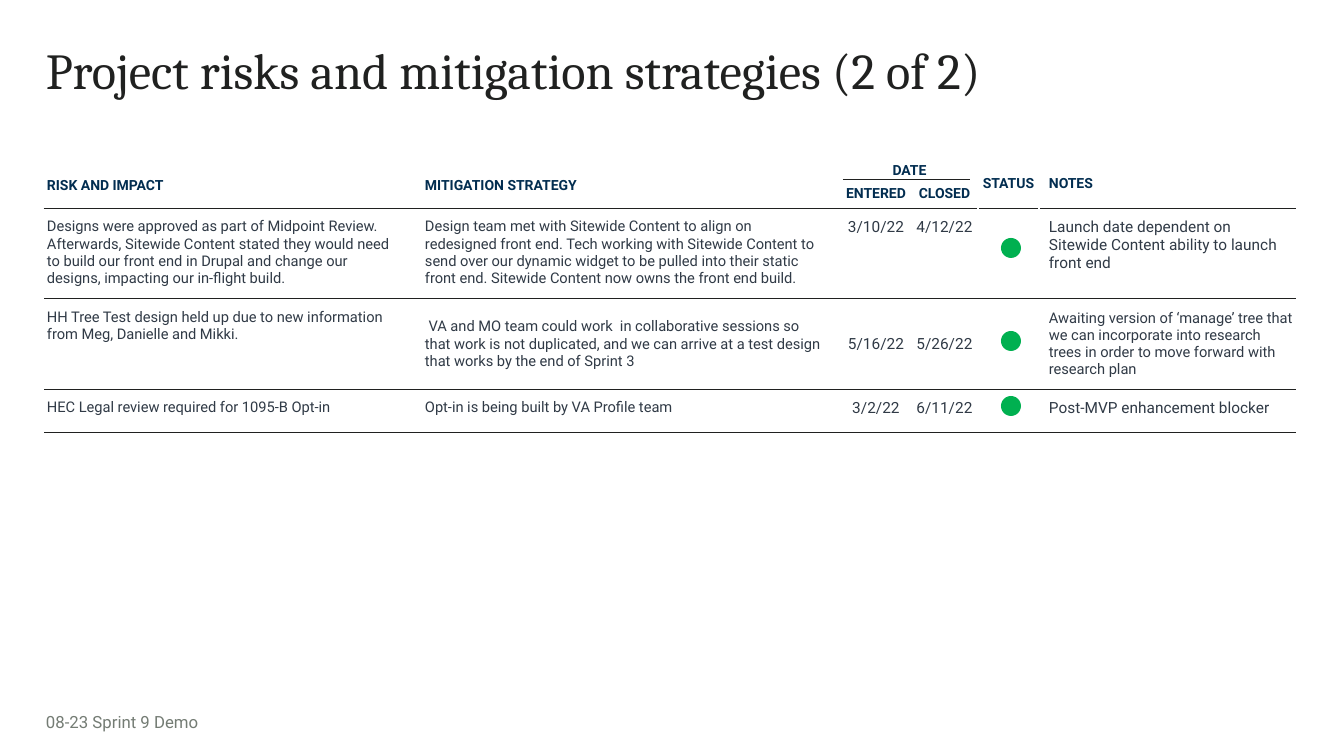
import pptx
import pptx.dml.color
import pptx.enum.shapes
import pptx.enum.text
import pptx.oxml
import pptx.oxml.ns
import pptx.util

PX = 914400 / 100.8
COLORS = {
    "ink": "202120", "navy": "022D50", "slate": "303A46",
    "gray": "747C74", "green": "00B050", "white": "FFFFFF",
}
LEFT = pptx.enum.text.PP_ALIGN.LEFT
CENTER = pptx.enum.text.PP_ALIGN.CENTER
TOP = pptx.enum.text.MSO_ANCHOR.TOP
MIDDLE = pptx.enum.text.MSO_ANCHOR.MIDDLE


def px(count):
    return pptx.util.Emu(round(count * PX))


def write(frame, text, font, size, color, bold=False, align=LEFT, spacing=None):
    frame.word_wrap = True
    para = frame.paragraphs[0]
    para.alignment = align
    para.line_spacing = spacing
    span = para.add_run()
    span.text = text
    span.font.name = font
    span.font.size = pptx.util.Pt(size)
    span.font.bold = bold
    span.font.color.rgb = pptx.dml.color.RGBColor.from_string(COLORS[color])


deck = pptx.Presentation()
deck.slide_width, deck.slide_height = px(1344), px(756)
page = deck.slides.add_slide(deck.slide_layouts[6])

title = page.shapes.add_textbox(px(36), px(41), px(1252), px(83))
write(title.text_frame, "Project risks and mitigation strategies (2 of 2)",
      "Cambria", 36, "ink", spacing=0.9)

column_widths = [378, 419, 70, 67, 61, 257]
row_heights = [23, 23, 89, 89, 43]
table = page.shapes.add_table(
    len(row_heights), len(column_widths), px(44), px(160),
    px(sum(column_widths)), px(sum(row_heights))).table
table.first_row = table.horz_banding = False
table._tbl.tblPr[0].text = "{2D5ABB26-0587-4C30-8999-92F81FD0307C}"
for column, width in zip(table.columns, column_widths):
    column.width = px(width)
for row, height in zip(table.rows, row_heights):
    row.height = px(height)

for index in (0, 1, 4, 5):
    table.cell(0, index).merge(table.cell(1, index))
table.cell(0, 2).merge(table.cell(0, 3))

headings = [
    (0, 0, "RISK AND IMPACT", LEFT, MIDDLE, 1.15),
    (0, 1, "MITIGATION STRATEGY", LEFT, MIDDLE, 1.15),
    (0, 2, "DATE", CENTER, TOP, None),
    (1, 2, "ENTERED", CENTER, TOP, None),
    (1, 3, "CLOSED", CENTER, TOP, None),
    (0, 4, "STATUS", CENTER, MIDDLE, None),
    (0, 5, "NOTES", LEFT, MIDDLE, None),
]
for row, column, text, align, anchor, spacing in headings:
    cell = table.cell(row, column)
    cell.vertical_anchor = anchor
    cell.margin_left = px(10 if column == 5 else 3)
    cell.margin_right = px(10 if column == 0 else 3)
    cell.margin_top = cell.margin_bottom = px(3)
    write(cell.text_frame, text, "Roboto", 10, "navy", True, align, spacing)

risks = [
    [("Designs were approved as part of Midpoint Review. Afterwards, Sitewide Content "
      "stated they would need to build our front end in Drupal and change our designs, "
      "impacting our in-flight build.", 10.5, TOP),
     ("Design team met with Sitewide Content to align on redesigned front end. Tech "
      "working with Sitewide Content to send over our dynamic widget to be pulled into "
      "their static front end. Sitewide Content now owns the front end build.", 10.5, TOP),
     ("3/10/22", 11, TOP), ("4/12/22", 11, TOP), None,
     ("Launch date dependent on Sitewide Content ability to launch front end", 11, TOP)],
    [("HH Tree Test design held up due to new information from Meg, Danielle and Mikki.",
      10.5, TOP),
     (" VA and MO team could work  in collaborative sessions so that work is not "
      "duplicated, and we can arrive at a test design that works by the end of Sprint 3",
      10.5, MIDDLE),
     ("5/16/22", 11, MIDDLE), ("5/26/22", 11, MIDDLE), None,
     ("Awaiting version of ‘manage’ tree that we can incorporate into research trees in "
      "order to move forward with research plan", 10.5, MIDDLE)],
    [("HEC Legal review required for 1095-B Opt-in", 10.5, TOP),
     ("Opt-in is being built by VA Profile team", 10.5, TOP),
     ("3/2/22", 11, TOP), ("6/11/22", 11, TOP), None,
     ("Post-MVP enhancement blocker", 11, TOP)],
]
for row, risk in enumerate(risks, start=2):
    for column, entry in enumerate(risk):
        if entry is None:
            continue
        text, size, anchor = entry
        cell = table.cell(row, column)
        cell.vertical_anchor = anchor
        cell.margin_left = px(10 if column == 5 else 3)
        cell.margin_right = px(20 if column < 2 else 3)
        cell.margin_top = cell.margin_bottom = px(10)
        write(cell.text_frame, text, "Roboto", size, "slate",
              align=CENTER if column in (2, 3) else LEFT)

for row in range(len(row_heights)):
    for column in range(len(column_widths)):
        cell = table.cell(row, column)
        cell.fill.background()
        borders = {}
        if row < 2 or column > 3:
            borders["lnL"] = "white"
        if column < 5 and (row < 2 or column > 2):
            borders["lnR"] = "white"
        if row > 1:
            borders["lnT"] = "ink"
        if row > 0:
            borders["lnB"] = "ink"
        for position, (side, color) in enumerate(borders.items()):
            points = 1.5 if color == "white" and row > 1 else 0.75
            border = pptx.oxml.parse_xml(
                f'<a:{side} {pptx.oxml.ns.nsdecls("a")} w="{pptx.util.Pt(points)}">'
                f'<a:solidFill><a:srgbClr val="{COLORS[color]}"/></a:solidFill></a:{side}>')
            cell._tc.get_or_add_tcPr().insert(position, border)

date_rule = page.shapes.add_connector(
    pptx.enum.shapes.MSO_CONNECTOR.STRAIGHT, px(843), px(180), px(970), px(180))
date_rule.line.width = pptx.util.Pt(0.75)
date_rule.line.color.rgb = pptx.dml.color.RGBColor.from_string(COLORS["ink"])
date_rule._element.spPr.append(
    pptx.oxml.parse_xml(f'<a:effectLst {pptx.oxml.ns.nsdecls("a")}/>'))

for top in (238, 331, 396):
    status = page.shapes.add_shape(
        pptx.enum.shapes.MSO_SHAPE.OVAL, px(1001), px(top), px(20), px(20))
    status.shadow.inherit = False
    status.fill.solid()
    status.fill.fore_color.rgb = pptx.dml.color.RGBColor.from_string(COLORS["green"])
    status.line.fill.background()

footer = page.shapes.add_textbox(px(46), px(707), px(300), px(30))
footer.text_frame.margin_left = 0
write(footer.text_frame, "08-23 Sprint 9 Demo", "Roboto", 12, "gray")

deck.save("out.pptx")
